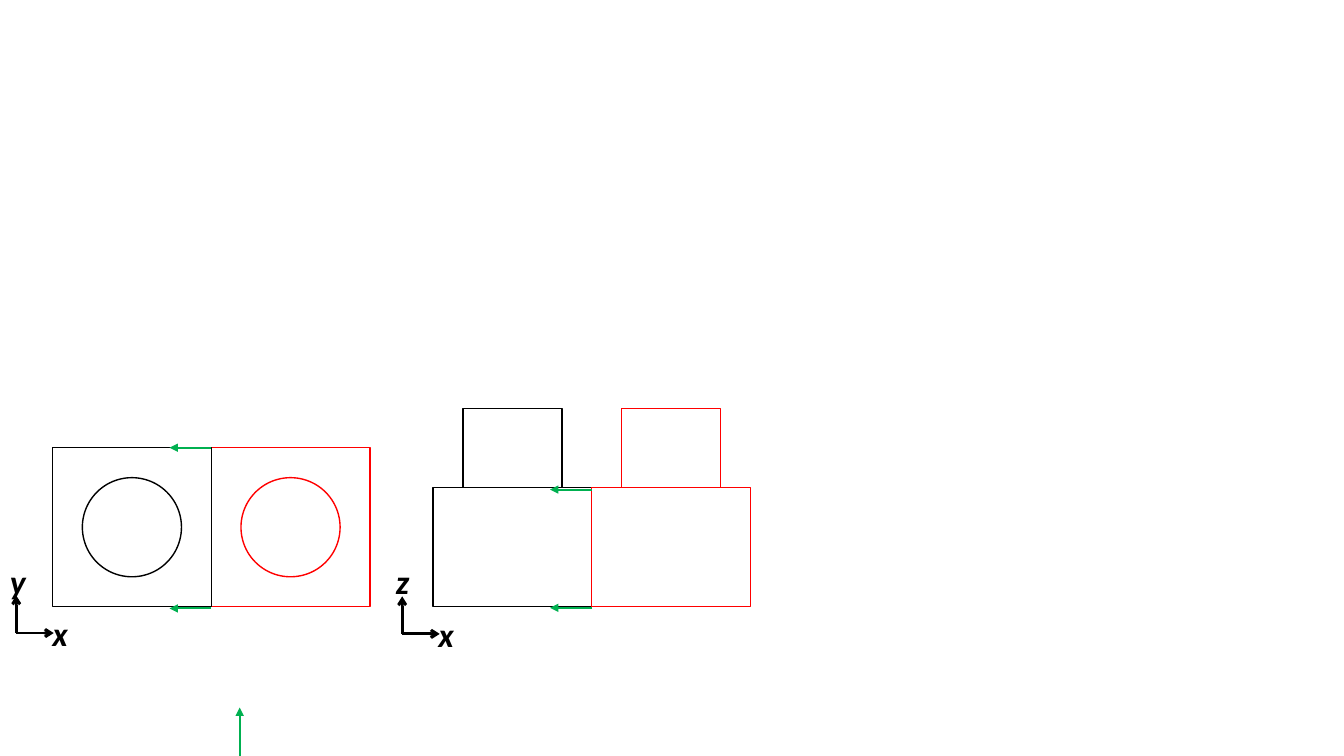
import pptx
import pptx.util
import pptx.dml.color
import pptx.enum.shapes
import pptx.enum.text
import pptx.oxml.ns
import lxml.etree

Pt = pptx.util.Pt
SHAPES = pptx.enum.shapes.MSO_SHAPE
COLORS = {"fixed": "000000", "moved": "FF0000", "pull": "00B050"}
BRICK_WIDTH = 113.3
BRICK_DEPTH = 113.6
BRICK_HEIGHT = 85
STUD_WIDTH = 70.8
STUD_HEIGHT = 56.8
PULL_LENGTH = 29.8


def rgb(name):
    """Return the named palette colour."""
    return pptx.dml.color.RGBColor.from_string(COLORS[name])


def add_outline(slide, preset, left, top, width, height, color):
    """Draw an unfilled preset shape with a thin outline."""
    outline = slide.shapes.add_shape(preset, Pt(left), Pt(top), Pt(width), Pt(height))
    outline.shadow.inherit = False
    outline.fill.background()
    outline.line.color.rgb = rgb(color)
    outline.line.width = Pt(1)


def add_arrow(slide, start, end, color, weight, head):
    """Draw a straight arrow from start to end."""
    arrow = slide.shapes.add_connector(
        pptx.enum.shapes.MSO_CONNECTOR.STRAIGHT, *(Pt(value) for value in start + end))
    arrow.line.color.rgb = rgb(color)
    arrow.line.width = Pt(weight)
    qn = pptx.oxml.ns.qn
    lxml.etree.SubElement(arrow.line._get_or_add_ln(), qn("a:tailEnd"), type=head)
    lxml.etree.SubElement(arrow._element.spPr, qn("a:effectLst"))


def add_axis_label(slide, left, top, letter):
    """Write the letter that names an axis."""
    label = slide.shapes.add_textbox(Pt(left), Pt(top), Pt(18), Pt(36))
    label.text_frame.word_wrap = True
    label.text_frame.auto_size = pptx.enum.text.MSO_AUTO_SIZE.SHAPE_TO_FIT_TEXT
    run = label.text_frame.paragraphs[0].add_run()
    run.text = letter
    run.font.name = "Calibri"
    run.font.size = Pt(24)
    run.font.bold = run.font.italic = True
    run.font.color.rgb = rgb("fixed")


def add_top_view(slide, left, top):
    """Draw two bricks seen from above, the moved one behind."""
    for column, color in ((1, "moved"), (0, "fixed")):
        brick_left = left + column * BRICK_WIDTH
        add_outline(slide, SHAPES.RECTANGLE, brick_left, top,
                    BRICK_WIDTH, BRICK_DEPTH, color)
        add_outline(slide, SHAPES.OVAL, brick_left + (BRICK_WIDTH - STUD_WIDTH) / 2,
                    top + (BRICK_DEPTH - STUD_WIDTH) / 2, STUD_WIDTH, STUD_WIDTH, color)


def add_side_view(slide, left, top):
    """Draw two bricks seen from the side, with studs above their bodies."""
    for column, color in enumerate(("fixed", "moved")):
        brick_left = left + column * BRICK_WIDTH
        add_outline(slide, SHAPES.RECTANGLE, brick_left, top + STUD_HEIGHT,
                    BRICK_WIDTH, BRICK_HEIGHT, color)
        add_outline(slide, SHAPES.RECTANGLE, brick_left + (BRICK_WIDTH - STUD_WIDTH) / 2,
                    top, STUD_WIDTH, STUD_HEIGHT, color)


def add_axes(slide, left, top, upright):
    """Draw a horizontal x axis and an upright axis from one origin."""
    length = 26.8
    add_arrow(slide, (left, top), (left + length, top), "fixed", 2, "arrow")
    add_axis_label(slide, left + 18.7, top - 18, "x")
    add_axis_label(slide, left - 11.6, top - 55.4, upright)
    add_arrow(slide, (left, top), (left, top - length), "fixed", 2, "arrow")


def add_pulls(slide, seam, heights):
    """Draw arrows pulling left from the seam between two bricks."""
    for height in heights:
        add_arrow(slide, (seam, height), (seam - PULL_LENGTH, height),
                  "pull", 1.5, "triangle")


def main():
    """Build the slide and save it."""
    deck = pptx.Presentation()
    deck.slide_width, deck.slide_height = Pt(960), Pt(540)
    slide = deck.slides.add_slide(deck.slide_layouts[6])
    top_view_left, side_view_left = 37.6, 309.4
    add_top_view(slide, top_view_left, 319.8)
    add_side_view(slide, side_view_left, 291.6)
    add_axes(slide, 11.6, 452.2, "y")
    add_axes(slide, 287.3, 452.8, "z")
    add_pulls(slide, side_view_left + BRICK_WIDTH, (349.7, 434.2))
    add_pulls(slide, top_view_left + BRICK_WIDTH, (319.8, 434.6))
    add_arrow(slide, (171.2, 540), (171.2, 505.4), "pull", 1.5, "triangle")
    deck.save("out.pptx")


if __name__ == "__main__":
    main()
